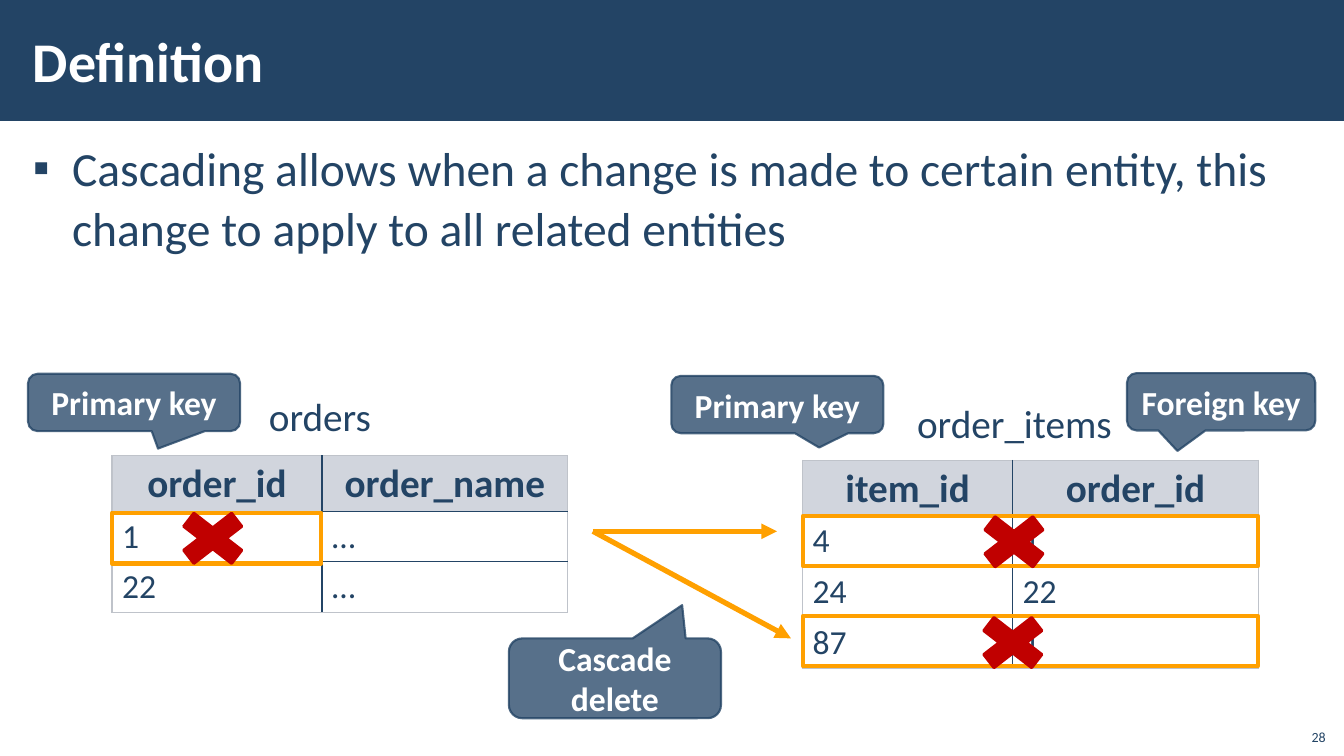
from lxml.etree import SubElement
from pptx import Presentation
from pptx.dml.color import RGBColor
from pptx.enum.shapes import MSO_CONNECTOR, MSO_SHAPE
from pptx.enum.text import MSO_ANCHOR, MSO_AUTO_SIZE, PP_ALIGN
from pptx.oxml.ns import qn
from pptx.util import Pt

HUES = {"navy": "234465", "slate": "4F6984", "head": "D1D5DD", "white": "FFFFFF",
        "grey": "BFC3CA", "amber": "FFA000", "red": "C00000"}


def hue(name):
    """Return a named colour."""
    return RGBColor.from_string(HUES[name])


def place(item, left, top, width, height):
    """Move and size a shape."""
    item.left, item.top, item.width, item.height = map(Pt, (left, top, width, height))


def write(frame, text, size, color="navy", bold=False, align=PP_ALIGN.LEFT):
    """Put one formatted paragraph in a text frame and return it."""
    frame.text = text
    para = frame.paragraphs[0]
    para.alignment = align
    font = para.font
    font.name, font.size, font.bold = "Calibri", Pt(size), bold
    font.color.rgb = hue(color)
    return para


def fill_holder(holder, box, text, size, color, bold, anchor):
    """Move a placeholder and give it its text."""
    place(holder, *box)
    frame = holder.text_frame
    frame.word_wrap = True
    frame.auto_size = MSO_AUTO_SIZE.NONE
    frame.vertical_anchor = anchor
    frame.margin_left = frame.margin_right = Pt(8.5)
    frame.margin_top = frame.margin_bottom = Pt(2.8)
    return write(frame, text, size, color, bold)


def add_bullet(para):
    """Give a paragraph a square bullet, a hanging indent and spacing."""
    para.line_spacing = 1.05
    para.space_before = para.space_after = Pt(6)
    props = para._p.get_or_add_pPr()
    props.set("marL", str(Pt(28)))
    props.set("indent", str(-Pt(28)))
    SubElement(props, qn("a:buChar"), char="▪")


def add_label(slide, box, text, size, align=PP_ALIGN.LEFT, anchor=MSO_ANCHOR.TOP):
    """Add a plain text box."""
    label = slide.shapes.add_textbox(*map(Pt, box))
    label.text_frame.word_wrap = True
    label.text_frame.vertical_anchor = anchor
    write(label.text_frame, text, size, align=align)


def add_form(slide, kind, box, fill=None, line=None, width=1):
    """Add a preset shape with its fill and outline."""
    form = slide.shapes.add_shape(kind, *map(Pt, box))
    form.shadow.inherit = False
    if fill:
        form.fill.solid()
        form.fill.fore_color.rgb = hue(fill)
    else:
        form.fill.background()
    if line:
        form.line.color.rgb = hue(line)
        form.line.width = Pt(width)
    else:
        form.line.fill.background()
    return form


def add_callout(slide, box, text, tip):
    """Add a translucent callout whose tail ends at tip."""
    form = add_form(slide, MSO_SHAPE.ROUNDED_RECTANGULAR_CALLOUT, box, "slate", "navy", 1.5)
    form.adjustments[0], form.adjustments[1] = tip
    for color, alpha in zip(form._element.spPr.iter(qn("a:srgbClr")), (95, 80)):
        SubElement(color, qn("a:alpha"), val=str(alpha * 1000))
    form.text_frame.word_wrap = True
    form.text_frame.vertical_anchor = MSO_ANCHOR.MIDDLE
    write(form.text_frame, text, 24, "white", True, PP_ALIGN.CENTER)


def add_arrow(slide, start, end):
    """Add an amber arrow."""
    arrow = slide.shapes.add_connector(MSO_CONNECTOR.STRAIGHT, *map(Pt, start + end))
    arrow.line.color.rgb = hue("amber")
    arrow.line.width = Pt(3.75)
    SubElement(arrow.line._get_or_add_ln(), qn("a:tailEnd"), type="triangle")
    SubElement(arrow._element.spPr, qn("a:effectLst"))


def add_edge(cell, side, color):
    """Draw one border of a cell."""
    edge = SubElement(cell._tc.get_or_add_tcPr(), qn(f"a:ln{side}"), w=str(Pt(1)))
    solid = SubElement(edge, qn("a:solidFill"))
    SubElement(solid, qn("a:srgbClr"), val=HUES[color])


def add_grid(slide, left, top, rows):
    """Add a table with a grey header, a pale frame and navy inner lines."""
    widths, heights = (150, 175.5), [39.6] + [36.2] * (len(rows) - 1)
    box = map(Pt, (left, top, sum(widths), sum(heights)))
    table = slide.shapes.add_table(len(rows), len(widths), *box).table
    table.first_row = table.horz_banding = False
    for col, width in zip(table.columns, widths):
        col.width = Pt(width)
    for i, (row, height) in enumerate(zip(table.rows, heights)):
        row.height = Pt(height)
        for j, cell in enumerate(row.cells):
            outer = {"L": j == 0, "R": j == len(widths) - 1,
                     "T": i == 0, "B": i == len(rows) - 1}
            for side, pale in outer.items():
                add_edge(cell, side, "grey" if pale else "navy")
            cell.fill.solid()
            cell.fill.fore_color.rgb = hue("white" if i else "head")
            if i:
                write(cell.text_frame, rows[i][j], 24)
            else:
                cell.margin_left = cell.margin_right = Pt(12)
                para = write(cell.text_frame, rows[i][j], 28, bold=True, align=PP_ALIGN.CENTER)
                para.line_spacing = 0.95


def main():
    """Build the slide and save it."""
    deck = Presentation()
    deck.slide_width, deck.slide_height = Pt(960), Pt(540)
    slide = deck.slides.add_slide(deck.slide_layouts[1])
    title, body = slide.placeholders
    band = add_form(slide, MSO_SHAPE.RECTANGLE, (0, 0, 960, 86.4), "navy")
    slide.shapes._spTree.insert(2, band._element)
    fill_holder(title, (15, 8, 765, 70), "Definition", 40, "white", True, MSO_ANCHOR.MIDDLE)
    text = ("Cascading allows when a change is made to certain entity, "
            "this change to apply to all related entities")
    add_bullet(fill_holder(body, (15, 94.3, 930, 434), text, 34, "navy", False, MSO_ANCHOR.TOP))
    add_label(slide, (915, 513, 39, 23), "28", 10, PP_ALIGN.RIGHT, MSO_ANCHOR.BOTTOM)

    add_label(slide, (185, 276.5, 95, 41), "orders", 28)
    add_label(slide, (648, 281.5, 165, 41), "order_items", 28)
    for end in ((555, 379.5), (565, 456)):
        add_arrow(slide, (423.5, 379.5), end)
    for box, name, tip in (
        ((20, 267, 151.5, 41), "Primary key", (0.113, 0.804)),
        ((479.5, 268.5, 151.5, 41), "Primary key", (0.197, 0.749)),
        ((805, 266.5, 134.5, 41), "Foreign key", (-0.232, 0.857)),
        ((363.5, 456, 151.5, 57), "Cascade delete", (0.317, -0.917)),
    ):
        add_callout(slide, box, name, tip)

    add_grid(slide, 80, 325.5, [("order_id", "order_name"), ("1", "…"), ("22", "…")])
    add_grid(slide, 573.3, 329,
             [("item_id", "order_id"), ("4", "1"), ("24", "22"), ("87", "1")])
    for left, top, width in ((80, 366.5, 149.5), (573.5, 368.5, 325), (573.5, 440, 325)):
        add_form(slide, MSO_SHAPE.RECTANGLE, (left, top, width, 36), line="amber", width=3)
    for left, top in ((119, 359), (691.3, 361.5), (690.5, 433.5)):
        add_form(slide, MSO_SHAPE.MATH_MULTIPLY, (left, top, 66, 51), "red", "red", 2)
    deck.save("out.pptx")


if __name__ == "__main__":
    main()
